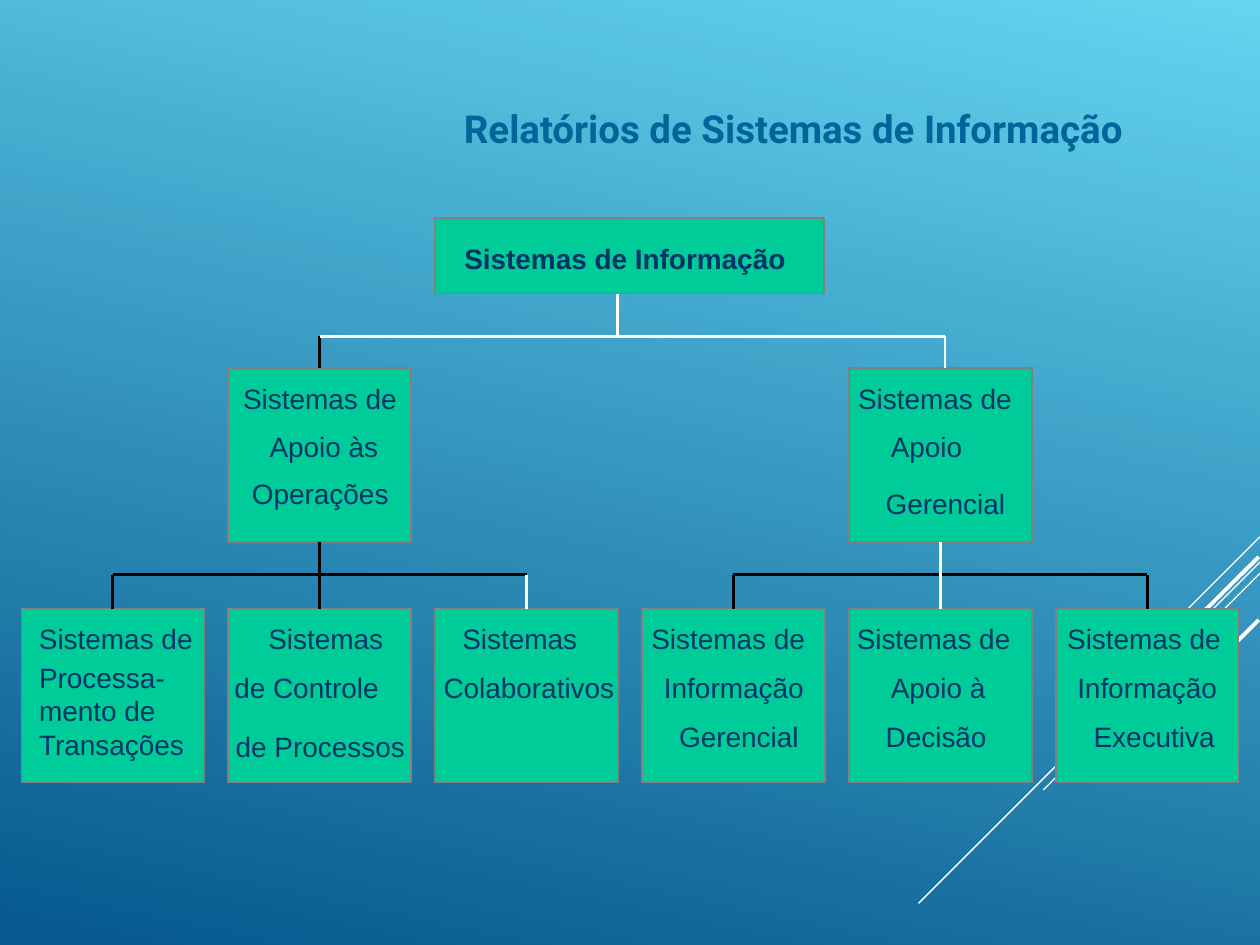
import pptx
import pptx.dml.color
import pptx.enum.shapes
import pptx.enum.text
import pptx.oxml
import pptx.util
from pptx.util import Inches

WHITE, BLACK = "FFFFFF", "000000"
GREEN, GREY, NAVY, TEAL = "00CC99", "808080", "003366", "006699"
BOX_WIDTH, BOX_HEIGHT = 1.45, 1.38
FIRST_LEFT, PITCH = 0.17, (8.38 - 0.17) / 5
ROOT_BUS, BRANCH_TOP, LEAF_BUS, LEAF_TOP = 2.67, 2.92, 4.56, 4.83
TOP, BOTTOM = 0, 2

# Labels: text, left, offset below the top of the box, width
LEAVES = [
    [("Sistemas de", 0.31, 0.1, 1.27),
     ("Processa-\nmento de\nTransações", 0.31, 0.41, 1.22)],
    [("Sistemas", 2.13, 0.1, 1), ("de Controle", 1.86, 0.49, 1.2),
     ("de Processos", 1.87, 0.96, 1.39)],
    [("Sistemas", 3.67, 0.1, 1), ("Colaborativos", 3.52, 0.49, 1.38)],
    [("Sistemas de", 5.17, 0.1, 1.27), ("Informação", 5.27, 0.49, 1.16),
     ("Gerencial", 5.39, 0.88, 1)],
    [("Sistemas de", 6.8, 0.1, 1.27), ("Apoio à", 7.07, 0.49, 0.82),
     ("Decisão", 7.03, 0.88, 0.87)],
    [("Sistemas de", 8.47, 0.1, 1.27), ("Informação", 8.55, 0.49, 1.16),
     ("Executiva", 8.68, 0.88, 1.02)],
]
# Branches are keyed by the column they stand in
BRANCHES = {
    1: [("Sistemas de", 1.93, 0.11, 1.27), ("Apoio às", 2.14, 0.49, 0.93),
        ("Operações", 2, 0.86, 1.14)],
    4: [("Sistemas de", 6.81, 0.11, 1.28), ("Apoio", 7.07, 0.49, 0.63),
        ("Gerencial", 7.03, 0.94, 1)],
}
# Decorative diagonals: start x, start y, end x, end y, width
DIAGONALS = [
    (10, 4.26, 9.17, 5.09, 0.75),
    (10, 4.46, 7.29, 7.17, 0.75),
    (10, 4.55, 8.28, 6.27, 0.75),
    (9.99, 4.42, 8.41, 5.99, 2.25),
    (9.99, 4.92, 8.85, 6.06, 2.25),
]


def colour(value):
    return pptx.dml.color.RGBColor.from_string(value)


def column_left(column):
    return FIRST_LEFT + PITCH * column


def column_middle(column):
    return column_left(column) + BOX_WIDTH / 2


def set_font(paragraph, name, size, value, bold=False):
    font = paragraph.font
    font.name, font.size, font.bold = name, pptx.util.Pt(size), bold
    font.color.rgb = colour(value)


def paint_background(page):
    fill = page.background.fill
    fill.gradient()
    fill.gradient_angle = 360 - 102
    for stop, value in zip(fill.gradient_stops, ("64D4EF", "06588E")):
        stop.color.rgb = colour(value)


def add_title(page, text):
    title = page.shapes.title
    title.left, title.top = Inches(1.38), Inches(0.78)
    title.width, title.height = Inches(7.71), Inches(0.47)
    frame = title.text_frame
    frame.text = text
    frame.word_wrap = True
    frame.auto_size = pptx.enum.text.MSO_AUTO_SIZE.NONE
    frame.vertical_anchor = pptx.enum.text.MSO_ANCHOR.TOP
    frame.margin_right = Inches(0.18)
    paragraph = frame.paragraphs[0]
    paragraph.alignment = pptx.enum.text.PP_ALIGN.RIGHT
    set_font(paragraph, "Roboto", 22, TEAL, bold=True)


def add_line(page, start, end, value, width=1.5, start_box=None, end_box=None):
    line = page.shapes.add_connector(
        pptx.enum.shapes.MSO_CONNECTOR.STRAIGHT,
        *(Inches(length) for length in (*start, *end)))
    line.line.color.rgb = colour(value)
    line.line.width = pptx.util.Pt(width)
    properties = line._element.spPr
    properties.append(pptx.oxml.parse_xml(
        '<a:effectLst xmlns:a="http://schemas.openxmlformats.org/drawingml/2006/main"/>'))
    if start_box is not None:
        line.begin_connect(start_box, BOTTOM)
    if end_box is not None:
        line.end_connect(end_box, TOP)


def add_box(page, left, top, width=BOX_WIDTH, height=BOX_HEIGHT):
    box = page.shapes.add_shape(
        pptx.enum.shapes.MSO_SHAPE.RECTANGLE,
        Inches(left), Inches(top), Inches(width), Inches(height))
    box.shadow.inherit = False
    box.fill.solid()
    box.fill.fore_color.rgb = colour(GREEN)
    box.line.color.rgb = colour(GREY)
    box.line.width = pptx.util.Pt(1)
    return box


def add_label(page, text, left, top, width, centred=False):
    height = 0.27 * (text.count("\n") + 1)
    label = page.shapes.add_textbox(
        Inches(left), Inches(top), Inches(width), Inches(height))
    frame = label.text_frame
    frame.margin_left = frame.margin_right = 0
    frame.margin_top = frame.margin_bottom = 0
    frame.word_wrap = True
    frame.auto_size = pptx.enum.text.MSO_AUTO_SIZE.SHAPE_TO_FIT_TEXT
    frame.text = text
    for paragraph in frame.paragraphs:
        if centred:
            paragraph.alignment = pptx.enum.text.PP_ALIGN.CENTER
        set_font(paragraph, "Arial", 16, NAVY, bold=centred)


def add_system(page, column, top, labels):
    box = add_box(page, column_left(column), top)
    for text, left, offset, width in labels:
        add_label(page, text, left, top + offset, width)
    return box


def add_tree_lines(page, branches, leaves):
    x = [column_middle(column) for column in range(len(leaves))]
    branch_bottom = BRANCH_TOP + BOX_HEIGHT
    # Left branch and its middle leaf
    add_line(page, (x[1], ROOT_BUS), (x[1], BRANCH_TOP), BLACK, end_box=branches[1])
    add_line(page, (x[1], branch_bottom), (x[1], LEAF_TOP), BLACK,
             start_box=branches[1], end_box=leaves[1])
    # Horizontal bars and outer drops above the leaves
    for first, last in ((0, 2), (3, 5)):
        add_line(page, (x[first], LEAF_BUS), (x[last], LEAF_BUS), BLACK)
    for column, value in ((0, BLACK), (2, WHITE), (3, BLACK), (5, BLACK)):
        add_line(page, (x[column], LEAF_BUS), (x[column], LEAF_TOP), value,
                 end_box=leaves[column])
    # Right branch and the bar below the root
    add_line(page, (x[4], branch_bottom), (x[4], LEAF_TOP), WHITE,
             start_box=branches[4], end_box=leaves[4])
    add_line(page, (7.5, ROOT_BUS), (7.5, BRANCH_TOP), WHITE)
    add_line(page, (x[1], ROOT_BUS), (7.5, ROOT_BUS), WHITE)
    add_line(page, (4.9, 2.33), (4.9, ROOT_BUS), WHITE)


def main():
    deck = pptx.Presentation()
    deck.slide_width, deck.slide_height = Inches(10), Inches(7.5)
    page = deck.slides.add_slide(deck.slide_layouts[5])
    paint_background(page)
    for x1, y1, x2, y2, width in DIAGONALS:
        add_line(page, (x1, y1), (x2, y2), WHITE, width)
    add_title(page, "Relatórios de Sistemas de Informação")

    # Boxes of the tree, from the root down
    add_box(page, 3.45, 1.73, 3.09, 0.6)
    add_label(page, "Sistemas de Informação", 3.42, 1.92, 3.08, centred=True)
    branches = {column: add_system(page, column, BRANCH_TOP, labels)
                for column, labels in BRANCHES.items()}
    leaves = [add_system(page, column, LEAF_TOP, labels)
              for column, labels in enumerate(LEAVES)]
    add_tree_lines(page, branches, leaves)
    deck.save("out.pptx")


if __name__ == "__main__":
    main()
